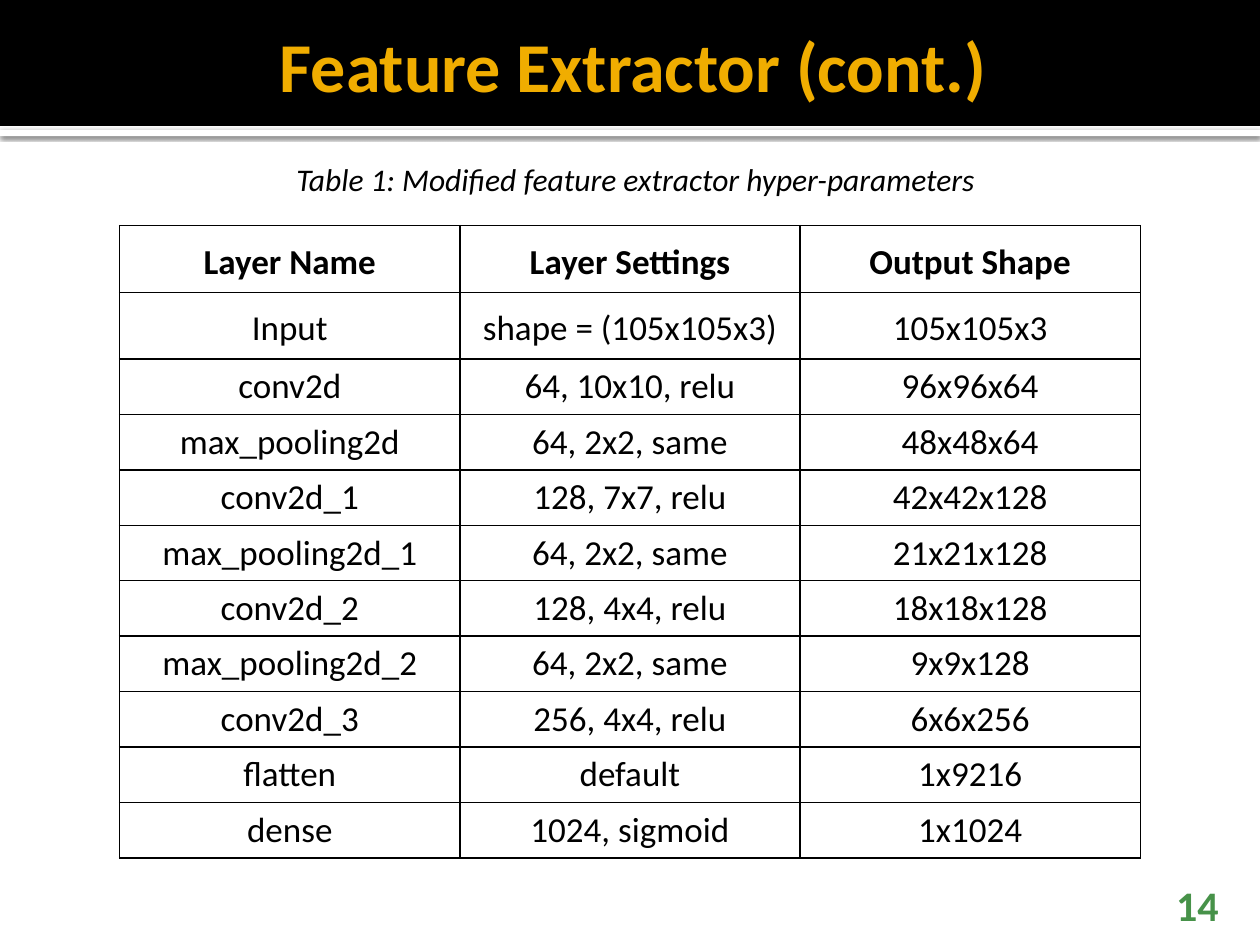
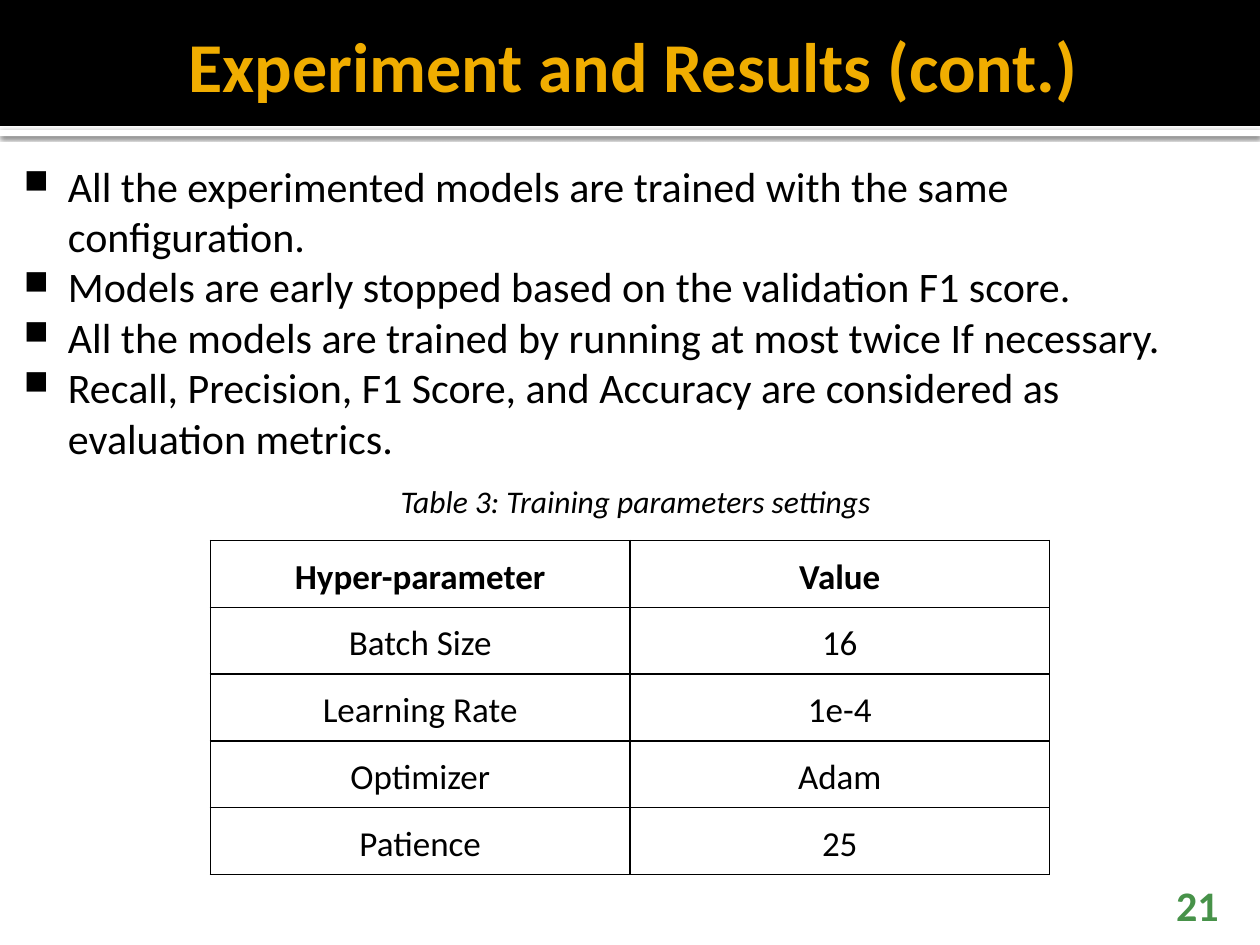
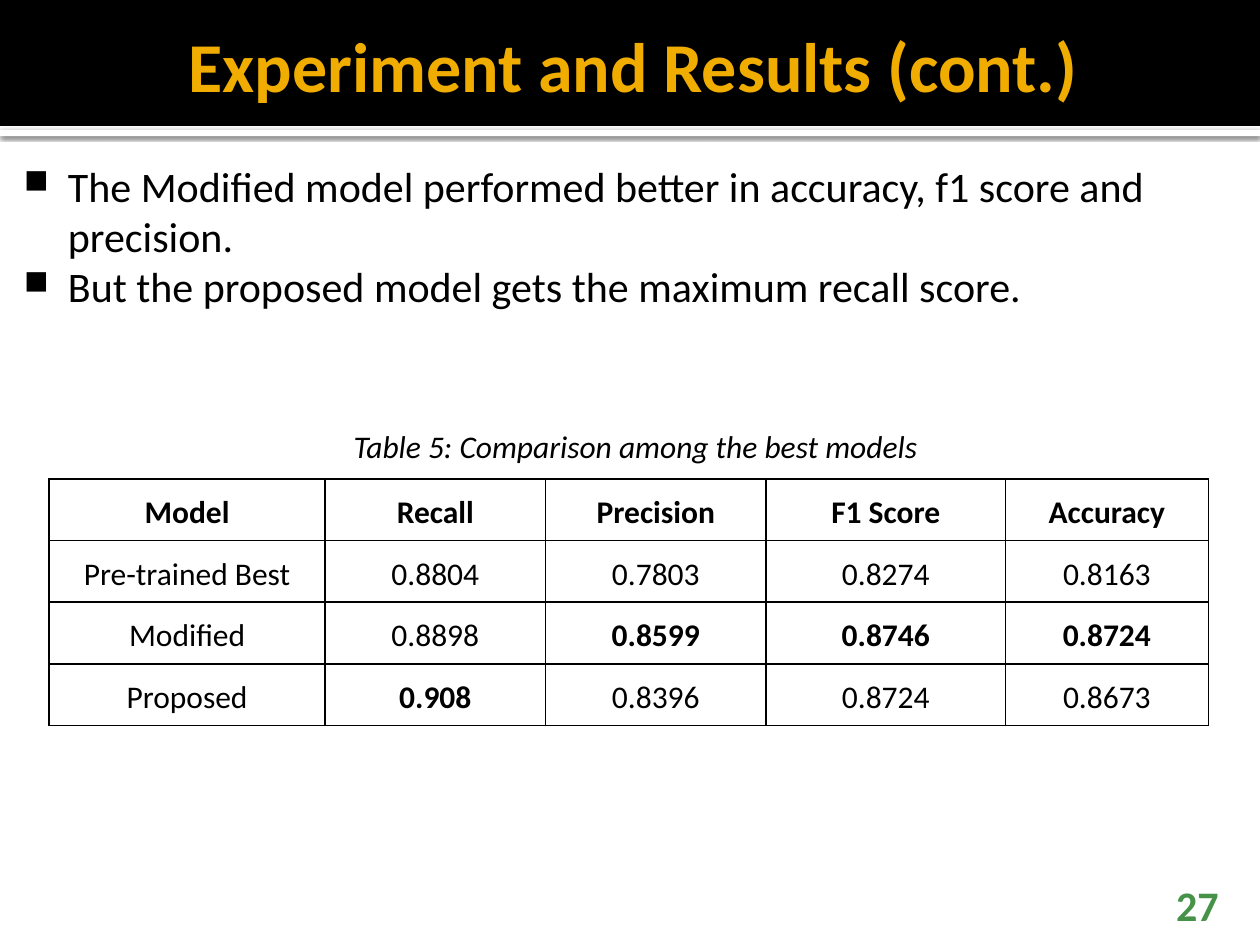
from lxml import etree
from pptx import Presentation
from pptx.dml.color import RGBColor
from pptx.enum import shapes, text
from pptx.oxml import parse_xml
from pptx.oxml.ns import nsdecls
from pptx.util import Inches, Pt

FONT = "Calibri"
BLACK, WHITE, GOLD, GREEN = "000000", "FFFFFF", "F0AD00", "479249"
CENTER, RIGHT = text.PP_ALIGN.CENTER, text.PP_ALIGN.RIGHT
TOP, MIDDLE, BOTTOM = text.MSO_ANCHOR.TOP, text.MSO_ANCHOR.MIDDLE, text.MSO_ANCHOR.BOTTOM

SHADOW = f"""<a:outerShdw {nsdecls('a')} blurRad="{Pt(2.5)}" dist="{Pt(0.8)}" dir="5400000"
  algn="tl" rotWithShape="0"><a:srgbClr val="{BLACK}"><a:alpha val="60000"/></a:srgbClr></a:outerShdw>"""
BULLET = (f'<a:buClr {nsdecls("a")}><a:srgbClr val="{BLACK}"/></a:buClr>',
          f'<a:buSzPct {nsdecls("a")} val="80000"/>',
          f'<a:buChar {nsdecls("a")} char="■"/>')
BORDER = f"""<a:{{side}} {nsdecls('a')} w="{Pt(1)}"><a:solidFill><a:srgbClr val="{BLACK}"/>
  </a:solidFill></a:{{side}}>"""

# spaced_rows: how many rows from the top have wide margins and 1.15 line spacing
SLIDES = [
    dict(number=14, title="Feature Extractor (cont.)", bullets=[],
         caption="Table 1: Modified feature extractor hyper-parameters", caption_gap=0,
         at=(0.95, 1.79), cols=[2.7] * 3, size=20, row_height=0.53, spaced_rows=2, best=[],
         rows=[("Layer Name", "Layer Settings", "Output Shape"),
               ("Input", "shape = (105x105x3)", "105x105x3"),
               ("conv2d", "64, 10x10, relu", "96x96x64"),
               ("max_pooling2d", "64, 2x2, same", "48x48x64"),
               ("conv2d_1", "128, 7x7, relu", "42x42x128"),
               ("max_pooling2d_1", "64, 2x2, same", "21x21x128"),
               ("conv2d_2", "128, 4x4, relu", "18x18x128"),
               ("max_pooling2d_2", "64, 2x2, same", "9x9x128"),
               ("conv2d_3", "256, 4x4, relu", "6x6x256"),
               ("flatten", "default", "1x9216"),
               ("dense", "1024, sigmoid", "1x1024")]),
    dict(number=21, title="Experiment and Results (cont.)",
         bullets=["All the experimented models are trained with the same configuration.",
                  "Models are early stopped based on the validation F1 score.",
                  "All the models are trained by running at most twice If necessary.",
                  "Recall, Precision, F1 Score, and Accuracy are considered as evaluation metrics."],
         caption="Table 3: Training parameters settings", caption_gap=11,
         at=(1.67, 4.29), cols=[3.33] * 2, size=20, row_height=0.53, spaced_rows=5, best=[],
         rows=[("Hyper-parameter", "Value"), ("Batch Size", "16"), ("Learning Rate", "1e-4"),
               ("Optimizer", "Adam"), ("Patience", "25")]),
    dict(number=27, title="Experiment and Results (cont.)",
         bullets=["The Modified model performed better in accuracy, f1 score and precision.",
                  "But the proposed model gets the maximum recall score."],
         caption="Table 5: Comparison among the best models", caption_gap=66,
         at=(0.39, 3.8), cols=[2.19, 1.75, 1.75, 1.9, 1.61], size=18, row_height=0.49,
         spaced_rows=4, best=[(2, 2), (2, 3), (2, 4), (3, 1)],
         rows=[("Model", "Recall", "Precision", "F1 Score", "Accuracy"),
               ("Pre-trained Best", "0.8804", "0.7803", "0.8274", "0.8163"),
               ("Modified", "0.8898", "0.8599", "0.8746", "0.8724"),
               ("Proposed", "0.908", "0.8396", "0.8724", "0.8673")]),
]


def style(p, size, color=BLACK, align=None, bold=False, italic=False):
    """Set the alignment and font of a paragraph."""
    p.alignment = align
    for r in p.runs:
        f = r.font
        f.name, f.size, f.bold, f.italic = FONT, Pt(size), bold, italic
        f.color.rgb = RGBColor.from_string(color)


def add_text(s, at, insets, anchor, lines):
    """Add a wrapping text box with one paragraph per line."""
    tf = s.shapes.add_textbox(*map(Inches, at)).text_frame
    tf.word_wrap = True
    tf.vertical_anchor = anchor
    tf.margin_left, tf.margin_top, tf.margin_right, tf.margin_bottom = map(Inches, insets)
    tf.text = "\n".join(lines)
    return tf.paragraphs


prs = Presentation()
prs.slide_width, prs.slide_height = Inches(10), Inches(7.5)

for d in SLIDES:
    s = prs.slides.add_slide(prs.slide_layouts[6])

    for top, height, color in ((1.03, 0.05, WHITE), (0, 1, BLACK)):
        sp = s.shapes.add_shape(shapes.MSO_SHAPE.RECTANGLE, 0, Inches(top), prs.slide_width, Inches(height))
        sp.fill.solid()
        sp.fill.fore_color.rgb = RGBColor.from_string(color)
        sp.line.fill.background()
        sp.shadow.inherit = False
        if color == WHITE:
            sp.element.spPr.find("{*}effectLst").append(parse_xml(SHADOW))

    p, = add_text(s, (0, 0.08, 10, 0.87), (0.1, 0.05, 0.05, 0.05), MIDDLE, [d["title"]])
    style(p, 40, GOLD, CENTER, bold=True)

    *bullets, caption = add_text(s, (0, 1.17, 10, 6.25), (0.06, 0.1, 0.1, 0.05), TOP,
                                 d["bullets"] + [d["caption"]])
    for p in bullets:
        pPr = p._p.get_or_add_pPr()
        pPr.set("marL", str(Inches(0.48)))
        pPr.set("indent", str(Inches(-0.35)))
        for xml in BULLET:
            pPr.append(parse_xml(xml))
        style(p, 24)
    caption._p.get_or_add_pPr().set("marL", str(Inches(0.13)))
    if bullets:
        caption.space_before = Pt(d["caption_gap"])
    style(caption, 18, align=CENTER, italic=True)

    p, = add_text(s, (8.97, 7.08, 0.8, 0.3), (0.1, 0.05, 0.1, 0), BOTTOM, [str(d["number"])])
    style(p, 24, GREEN, RIGHT, bold=True)

    rows, cols = d["rows"], d["cols"]
    heights = [d["row_height"] if i < d["spaced_rows"] else 0.44 for i in range(len(rows))]
    table = s.shapes.add_table(len(rows), len(cols), *map(Inches, (*d["at"], sum(cols), sum(heights)))).table
    table.first_row = table.horz_banding = False
    for column, width in zip(table.columns, cols):
        column.width = Inches(width)
    for i, row in enumerate(rows):
        table.rows[i].height = Inches(heights[i])
        spaced = i < d["spaced_rows"]
        for j, value in enumerate(row):
            cell = table.cell(i, j)
            cell.text = value
            p = cell.text_frame.paragraphs[0]
            style(p, d["size"], align=CENTER, bold=i == 0 or (i, j) in d["best"])
            if spaced:
                p.line_spacing = 1.15
                cell.vertical_anchor = MIDDLE
                cell.margin_left = cell.margin_top = cell.margin_right = cell.margin_bottom = Inches(0.07)
            tcPr = cell._tc.get_or_add_tcPr()
            for side in ("lnL", "lnR", "lnT", "lnB"):
                tcPr.append(etree.fromstring(BORDER.format(side=side)))
            cell.fill.background()

prs.save("out.pptx")
